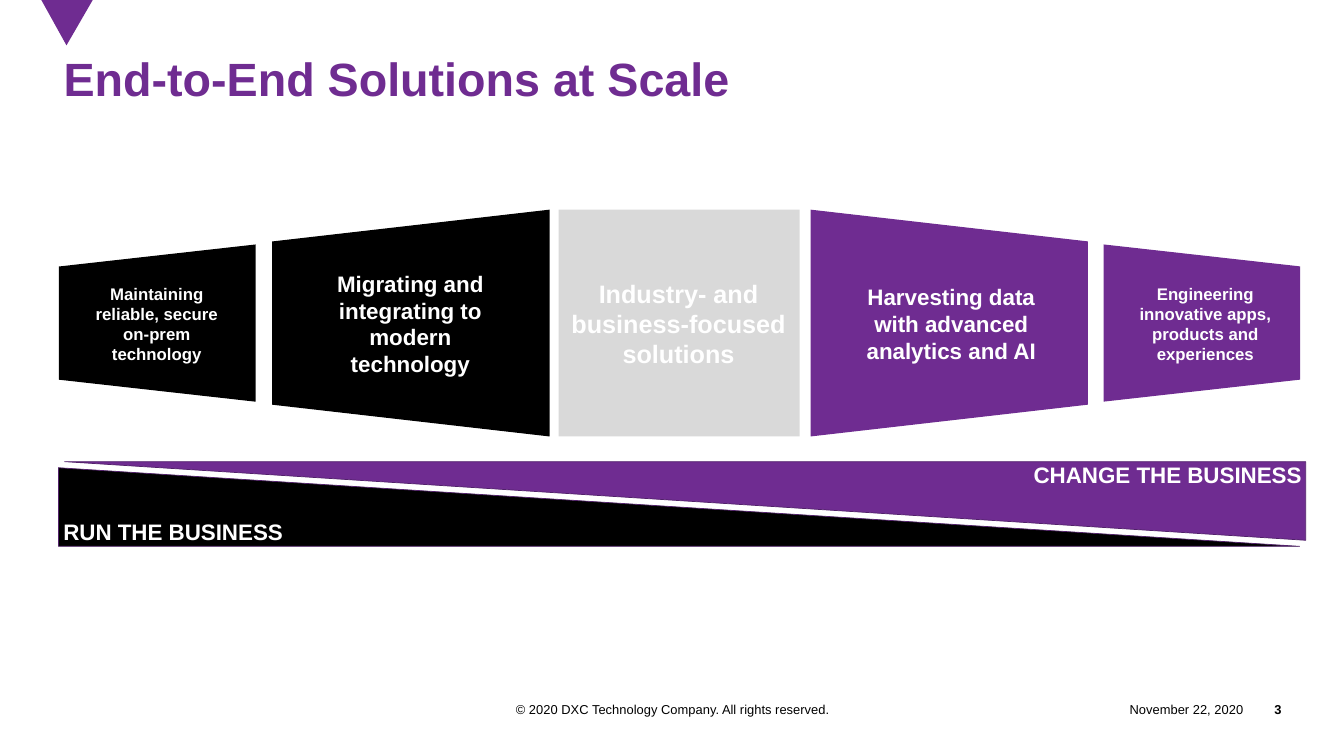
from dataclasses import dataclass

from pptx import Presentation
from pptx.dml.color import RGBColor
from pptx.enum.shapes import MSO_SHAPE as Shape
from pptx.enum.text import MSO_ANCHOR as Anchor, PP_ALIGN as Align
from pptx.util import Inches, Pt


@dataclass(frozen=True)
class Theme:
    font: str = "Arial"
    purple: str = "6F2C91"
    outline: str = "52216B"
    black: str = "000000"
    white: str = "FFFFFF"
    grey: str = "D9D9D9"
    title: float = 33.3
    centre: float = 18
    inner: float = 16
    outer: float = 12
    footer: float = 9.2


THEME = Theme()


def rgb(colour):
    return RGBColor.from_string(colour)


def paint(shape, fill, line=None):
    shape.shadow.inherit = False
    shape.fill.solid()
    shape.fill.fore_color.rgb = rgb(fill)
    if line:
        shape.line.color.rgb = rgb(line)
        shape.line.width = Pt(0.5)
    else:
        shape.line.fill.background()


def write(shape, text, size, colour, align, bold=True, anchor=Anchor.MIDDLE,
          insets=(0, 0), spacing=None):
    frame = shape.text_frame
    frame.word_wrap = True
    frame.vertical_anchor = anchor
    frame.margin_left = frame.margin_right = Inches(insets[0])
    frame.margin_top = frame.margin_bottom = Inches(insets[1])
    frame.text = text
    paragraph = frame.paragraphs[0]
    paragraph.alignment = align
    if spacing:
        paragraph.line_spacing = spacing
    font = paragraph.font
    font.name, font.size, font.bold = THEME.font, Pt(size), bold
    font.color.rgb = rgb(colour)


def add_label(slide, box, text, size, colour=THEME.white, align=Align.CENTER, **style):
    label = slide.shapes.add_textbox(*map(Inches, box))
    write(label, text, size, colour, align, **style)


def add_block(slide, preset, box, fill, line=None, rotation=0):
    block = slide.shapes.add_shape(preset, *map(Inches, box))
    paint(block, fill, line)
    block.rotation = rotation
    return block


def add_funnel_step(slide, box, fill, rotation):
    step = add_block(slide, Shape.TRAPEZOID, box, fill, rotation=rotation)
    step.adjustments[0] = 0.14


def add_corner_marker(slide):
    outline = slide.shapes.build_freeform(Inches(0.41), 0)
    outline.add_line_segments([(Inches(0.66), Inches(0.45)), (Inches(0.92), 0)])
    paint(outline.convert_to_shape(), THEME.purple)


def main():
    deck = Presentation()
    deck.slide_width, deck.slide_height = Inches(13.33), Inches(7.5)
    slide = deck.slides.add_slide(deck.slide_layouts[5])

    # Title and corner marker
    add_corner_marker(slide)
    title = slide.shapes.title
    title.left, title.top = Inches(0.63), Inches(0.58)
    title.width, title.height = Inches(12.08), Inches(1.29)
    write(title, "End-to-End Solutions at Scale", THEME.title, THEME.purple,
          Align.LEFT, anchor=Anchor.TOP, spacing=0.85)

    # Funnel blocks, narrowing away from the centre
    add_block(slide, Shape.RECTANGLE, (5.54, 2.08, 2.39, 2.25), THEME.grey)
    for inner_left, outer_left, fill, rotation in (
        (2.95, 0.78, THEME.black, 270),
        (8.29, 11.14, THEME.purple, 90),
    ):
        add_funnel_step(slide, (inner_left, 1.83, 2.25, 2.75), fill, rotation)
        add_funnel_step(slide, (outer_left, 2.23, 1.56, 1.95), fill, rotation)

    # Funnel labels
    wide, narrow = (0.07, 0.05), (0.05, 0.03)
    for left, width, size, insets, text in (
        (0.73, 1.65, THEME.outer, wide, "Maintaining reliable, secure on-prem technology"),
        (2.98, 2.18, THEME.inner, wide, "Migrating and integrating to modern technology"),
        (5.59, 2.28, THEME.centre, narrow, "Industry- and business-focused solutions"),
        (8.37, 2.13, THEME.inner, narrow, "Harvesting data with advanced analytics and AI"),
        (11.11, 1.69, THEME.outer, wide, "Engineering innovative apps, products and experiences"),
    ):
        add_label(slide, (left, 2.77, width, 0.88), text, size, insets=insets)

    # Run and change wedges
    for wedge, fill, rotation, box, text, align in (
        ((0.58, 4.64), THEME.black, 0, (0.53, 5.12, 2.46, 0.34),
         "RUN THE BUSINESS", Align.LEFT),
        ((0.64, 4.58), THEME.purple, 180, (10.13, 4.56, 2.88, 0.34),
         "CHANGE THE BUSINESS", Align.RIGHT),
    ):
        add_block(slide, Shape.RIGHT_TRIANGLE, (*wedge, 12.31, 0.78), fill,
                  THEME.outline, rotation)
        add_label(slide, box, text, THEME.inner, align=align,
                  insets=(0.1, 0.05), spacing=0.9)

    # Footer
    for left, width, text, align, bold in (
        (4.38, 4.58, "© 2020 DXC Technology Company. All rights reserved.", Align.CENTER, False),
        (10.84, 1.49, "November 22, 2020", Align.RIGHT, False),
        (12.33, 0.38, "3", Align.RIGHT, True),
    ):
        add_label(slide, (left, 6.91, width, 0.25), text, THEME.footer,
                  THEME.black, align, bold=bold)

    deck.save("out.pptx")


if __name__ == "__main__":
    main()
